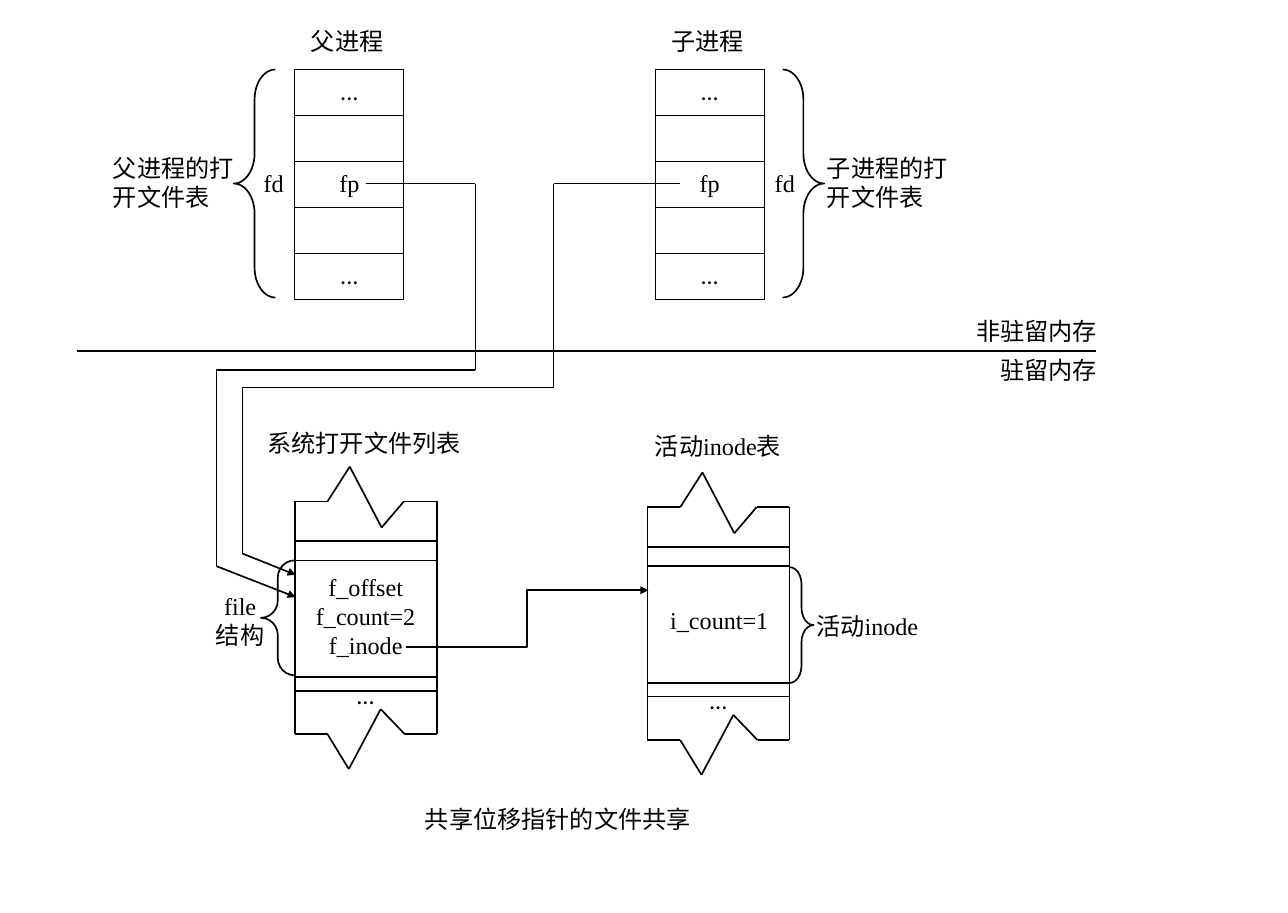
from dataclasses import dataclass
from itertools import groupby, pairwise

from lxml import etree
from pptx import Presentation
from pptx.dml.color import RGBColor
from pptx.enum.shapes import MSO_CONNECTOR, MSO_SHAPE
from pptx.enum.text import MSO_ANCHOR, MSO_AUTO_SIZE, PP_ALIGN
from pptx.oxml.ns import qn
from pptx.slide import Slide
from pptx.util import Pt

PX = 9144  # one hundredth of an inch
BLACK = RGBColor(0x00, 0x00, 0x00)
SANS, SERIF = "Calibri", "Times New Roman"
LEFT, CENTER, RIGHT = PP_ALIGN.LEFT, PP_ALIGN.CENTER, PP_ALIGN.RIGHT
STRAIGHT, ELBOW = MSO_CONNECTOR.STRAIGHT, MSO_CONNECTOR.ELBOW
LEFT_BRACE, RIGHT_BRACE = MSO_SHAPE.LEFT_BRACE, MSO_SHAPE.RIGHT_BRACE
MIDDLE, FIT_SHAPE = MSO_ANCHOR.MIDDLE, MSO_AUTO_SIZE.SHAPE_TO_FIT_TEXT
FONT_FORMAT = {"size": Pt(18), "bold": False}

Point = tuple[int, int]


@dataclass(frozen=True)
class Label:
    left: int
    top: int
    width: int
    lines: tuple[str, ...]
    align: PP_ALIGN = LEFT
    height: int = 40


@dataclass(frozen=True)
class Brace:
    kind: MSO_SHAPE
    left: int
    top: int
    width: int
    height: int
    curve: float


@dataclass(frozen=True)
class Route:
    points: tuple[Point, ...]
    weight: float = 1.25
    arrow: bool = False
    kind: MSO_CONNECTOR = STRAIGHT


DESCRIPTOR_TABLES = ((305, 72), (678, 72))
DESCRIPTOR_ROWS = ("...", "", "fp", "", "...")
TABLE_WIDTH, TABLE_HEIGHT = 113, 238

# Torn strip of a system table, measured from its upper left corner
STRIP_ORIGINS = ((305, 519), (670, 525))
STRIP_WIDTH, STRIP_HEIGHT = 147, 241
TORN_TOP = ((0, 0), (34, 0), (57, -36), (90, 27), (113, 0), (STRIP_WIDTH, 0))
TORN_BOTTOM = ((0, 241), (34, 241), (56, 277), (89, 215), (114, 241), (STRIP_WIDTH, 241))
STRIP_RULES = (41, 61, 182, 196)

BRACES = (
    Brace(LEFT_BRACE, 242, 72, 43, 236, 0.72),
    Brace(RIGHT_BRACE, 810, 72, 43, 236, 0.72),
    Brace(LEFT_BRACE, 270, 580, 35, 119, 0.51),
    Brace(RIGHT_BRACE, 817, 587, 25, 120, 0.71),
)

ROUTES = (
    # Border between swappable and resident memory
    Route(((80, 363), (1134, 363)), weight=1.75),
    # File structure to active inode
    Route(((420, 670), (671, 611)), arrow=True, kind=ELBOW),
    # Parent and child descriptors to the shared file structure
    Route(((379, 190), (492, 190), (492, 383), (224, 383), (224, 586), (306, 618)), arrow=True),
    Route(((704, 190), (573, 190), (573, 401), (251, 401), (251, 573), (306, 595)), arrow=True),
)

LABELS = (
    Label(312, 22, 99, ("父进程",)),
    Label(685, 22, 99, ("子进程",)),
    Label(263, 169, 60, ("fd",)),
    Label(792, 169, 60, ("fd",)),
    Label(107, 154, 151, ("父进程的打开文件表",), height=71),
    Label(846, 154, 151, ("子进程的打开文件表",), height=71),
    Label(997, 323, 148, ("非驻留内存",), RIGHT),
    Label(997, 363, 148, ("驻留内存",), RIGHT),
    Label(267, 438, 245, ("系统打开文件列表",)),
    Label(668, 442, 174, ("活动inode表",)),
    Label(359, 699, 61, ("...",)),
    Label(724, 705, 61, ("...",)),
    Label(312, 587, 133, ("f_offset", "f_count=2", "f_inode"), CENTER, 101),
    Label(678, 622, 133, ("i_count=1",), CENTER),
    Label(199, 607, 99, ("file", "结构"), CENTER, 71),
    Label(835, 628, 174, ("活动inode",)),
    Label(430, 828, 341, ("共享位移指针的文件共享",)),
)


def write_line(para, text: str, align: PP_ALIGN) -> None:
    """Latin words are set in the serif face, everything else in the sans face."""
    para.alignment = align
    for is_ascii, letters in groupby(text, str.isascii):
        span = para.add_run()
        span.text = "".join(letters)
        span.font.name = SERIF if is_ascii and span.text[0].isalpha() else SANS
        span.font.color.rgb = BLACK
        for name, value in FONT_FORMAT.items():
            setattr(span.font, name, value)


def add_label(page: Slide, label: Label) -> None:
    box = page.shapes.add_textbox(
        label.left * PX, label.top * PX, label.width * PX, label.height * PX)
    frame = box.text_frame
    frame.word_wrap = True
    frame.auto_size = FIT_SHAPE
    for index, line in enumerate(label.lines):
        para = frame.add_paragraph() if index else frame.paragraphs[0]
        write_line(para, line, label.align)


def add_brace(page: Slide, brace: Brace) -> None:
    shape = page.shapes.add_shape(
        brace.kind, brace.left * PX, brace.top * PX, brace.width * PX, brace.height * PX)
    shape.shadow.inherit = False
    shape.fill.background()
    shape.line.color.rgb = BLACK
    shape.line.width = Pt(1.25)
    shape.adjustments[0] = brace.curve


def add_route(page: Slide, route: Route) -> None:
    for start, end in pairwise(route.points):
        connector = page.shapes.add_connector(
            route.kind, start[0] * PX, start[1] * PX, end[0] * PX, end[1] * PX)
        connector.line.color.rgb = BLACK
        connector.line.width = Pt(route.weight)
        properties = connector._element.spPr
        if route.arrow and end == route.points[-1]:
            etree.SubElement(properties.find(qn("a:ln")), qn("a:tailEnd"), type="triangle")
        etree.SubElement(properties, qn("a:effectLst"))


def add_strip(page: Slide, origin: Point) -> None:
    rules = tuple(((0, y), (STRIP_WIDTH, y)) for y in STRIP_RULES)
    sides = tuple(((x, 0), (x, STRIP_HEIGHT)) for x in (0, STRIP_WIDTH))
    for outline in (TORN_TOP, TORN_BOTTOM, *sides, *rules):
        add_route(page, Route(tuple((origin[0] + x, origin[1] + y) for x, y in outline)))


def add_borders(cell) -> None:
    properties = cell._tc.get_or_add_tcPr()
    for side in ("lnL", "lnR", "lnT", "lnB"):
        border = etree.SubElement(properties, qn(f"a:{side}"), w=str(Pt(1)))
        fill = etree.SubElement(border, qn("a:solidFill"))
        etree.SubElement(fill, qn("a:srgbClr"), val=str(BLACK))


def add_descriptor_table(page: Slide, origin: Point) -> None:
    table = page.shapes.add_table(
        len(DESCRIPTOR_ROWS), 1, origin[0] * PX, origin[1] * PX,
        TABLE_WIDTH * PX, TABLE_HEIGHT * PX).table
    table.first_row = table.horz_banding = False
    for cell, text in zip(table.iter_cells(), DESCRIPTOR_ROWS):
        add_borders(cell)
        cell.fill.background()
        cell.vertical_anchor = MIDDLE
        write_line(cell.text_frame.paragraphs[0], text, CENTER)


def main() -> None:
    deck = Presentation()
    deck.slide_width, deck.slide_height = 1333 * PX, 945 * PX
    page = deck.slides.add_slide(deck.slide_layouts[6])
    for origin in DESCRIPTOR_TABLES:
        add_descriptor_table(page, origin)
    for origin in STRIP_ORIGINS:
        add_strip(page, origin)
    for brace in BRACES:
        add_brace(page, brace)
    for route in ROUTES:
        add_route(page, route)
    for label in LABELS:
        add_label(page, label)
    deck.save("out.pptx")


if __name__ == "__main__":
    main()
